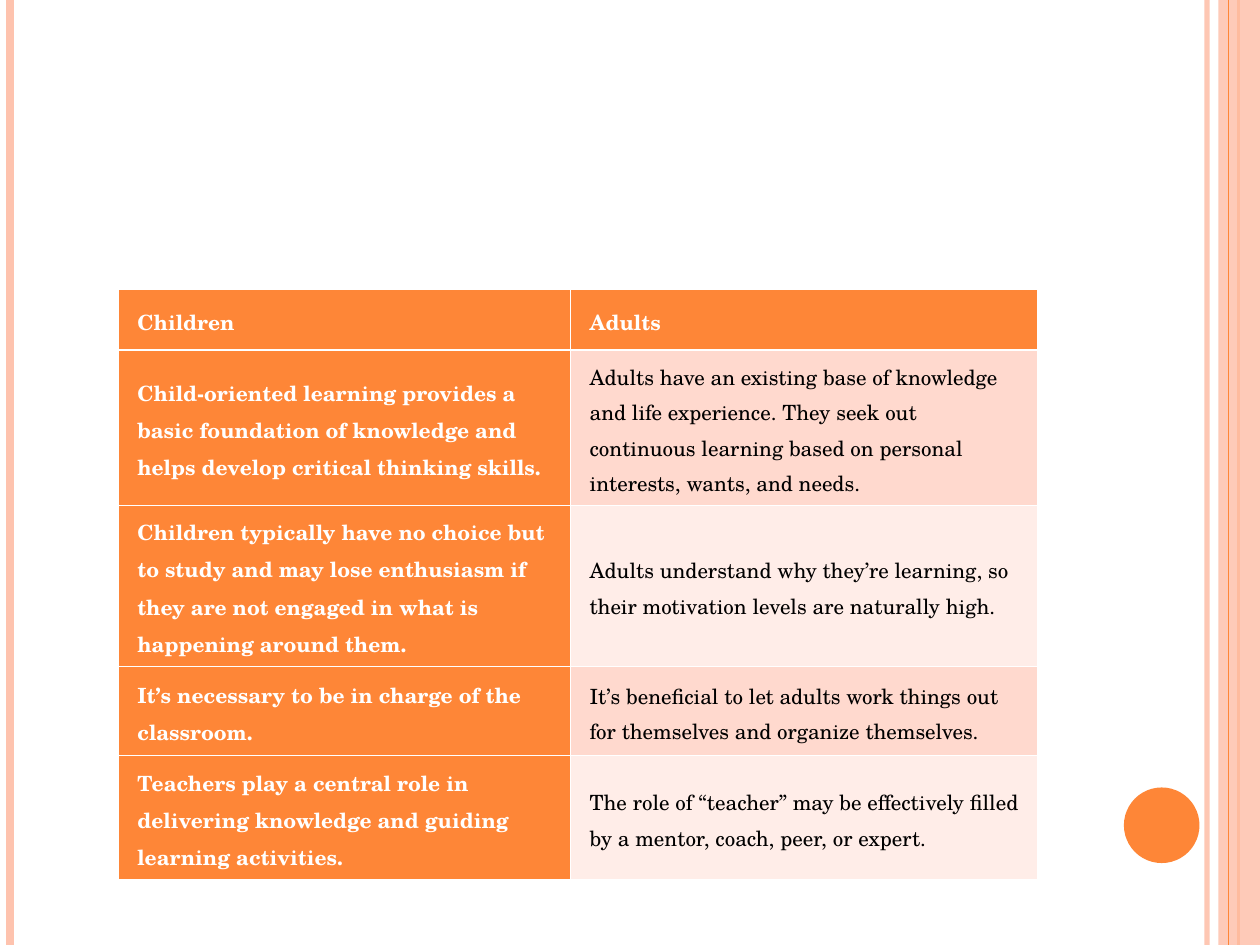
from dataclasses import dataclass

import lxml.etree
import pptx
import pptx.dml.color
import pptx.enum.shapes
import pptx.enum.text
import pptx.oxml
import pptx.oxml.ns
import pptx.util

Inches = pptx.util.Inches
Pt = pptx.util.Pt
RGBColor = pptx.dml.color.RGBColor
MSO_SHAPE = pptx.enum.shapes.MSO_SHAPE
qn = pptx.oxml.ns.qn

ORANGE = RGBColor(0xFE, 0x86, 0x37)
PEACH = RGBColor(0xFE, 0xC3, 0xAE)
BAND_DARK = RGBColor(0xFF, 0xD9, 0xCE)
BAND_LIGHT = RGBColor(0xFF, 0xED, 0xE8)
WHITE = RGBColor(0xFF, 0xFF, 0xFF)
BLACK = RGBColor(0, 0, 0)
FONT = "TeX Gyre Schola"
THIN, THICK = 0.45, 1.47


@dataclass
class Stripe:
    x: float
    color: RGBColor
    weight: float
    opacity: int = 100


@dataclass
class Comparison:
    children: str
    adults: str
    height: float


STRIPES_BELOW = [
    Stripe(9.58, PEACH, 3, 93),
    Stripe(0.08, PEACH, 4.5),
    Stripe(9.83, ORANGE, 1.5),
]
STRIPE_ABOVE = Stripe(9.75, ORANGE, 0.75)

COMPARISONS = [
    Comparison("Children", "Adults", 0.48),
    Comparison(
        "Child-oriented learning provides a basic foundation of knowledge "
        "and helps develop critical thinking skills.",
        "Adults have an existing base of knowledge and life experience. They seek "
        "out continuous learning based on personal interests, wants, and needs.",
        1.17),
    Comparison(
        "Children typically have no choice but to study and may lose enthusiasm "
        "if they are not engaged in what is happening around them.",
        "Adults understand why they’re learning, so their motivation levels "
        "are naturally high.",
        1.17),
    Comparison(
        "It’s necessary to be in charge of the classroom.",
        "It’s beneficial to let adults work things out for themselves "
        "and organize themselves.",
        0.71),
    Comparison(
        "Teachers play a central role in delivering knowledge and guiding "
        "learning activities.",
        "The role of “teacher” may be effectively filled by a mentor, coach, "
        "peer, or expert.",
        0.94),
]
COLUMN_WIDTHS = [3.59, 3.7]


def set_opacity(element, percent: int) -> None:
    """Make the first colour inside the element see-through."""
    if percent < 100:
        color = next(element.iter(qn("a:srgbClr")))
        lxml.etree.SubElement(color, qn("a:alpha")).set("val", str(percent * 1000))


def add_stripe(slide, stripe: Stripe) -> None:
    line = slide.shapes.add_connector(
        pptx.enum.shapes.MSO_CONNECTOR.STRAIGHT,
        Inches(stripe.x), 0, Inches(stripe.x), Inches(7.5))
    line.line.color.rgb = stripe.color
    line.line.width = Pt(stripe.weight)
    properties = line._element.spPr
    set_opacity(properties, stripe.opacity)
    lxml.etree.SubElement(properties, qn("a:effectLst"))


def add_solid(slide, kind, left: float, top: float, width: float, height: float,
              color: RGBColor, opacity: int = 100) -> None:
    solid = slide.shapes.add_shape(
        kind, Inches(left), Inches(top), Inches(width), Inches(height))
    solid.shadow.inherit = False
    solid.fill.solid()
    solid.fill.fore_color.rgb = color
    solid.line.fill.background()
    set_opacity(solid._element.spPr, opacity)


def write_text(frame, text: str, *, color: RGBColor, bold: bool,
               size: float = 12, spacing: float = 1.15) -> None:
    paragraph = frame.paragraphs[0]
    paragraph.line_spacing = spacing
    run = paragraph.add_run()
    run.text = text
    run.font.name = FONT
    run.font.size = Pt(size)
    run.font.bold = bold
    run.font.color.rgb = color


def set_borders(cell, top: float, bottom: float) -> None:
    weights = {"lnL": THIN, "lnR": THIN, "lnT": top, "lnB": bottom}
    properties = cell._tc.get_or_add_tcPr()
    for position, (side, weight) in enumerate(weights.items()):
        border = lxml.etree.Element(qn(f"a:{side}"), w=str(int(Pt(weight))))
        paint = lxml.etree.SubElement(border, qn("a:solidFill"))
        lxml.etree.SubElement(paint, qn("a:srgbClr")).set("val", str(WHITE))
        properties.insert(position, border)


def fill_cell(cell, text: str, row: int, column: int) -> None:
    accented = row == 0 or column == 0
    band = BAND_DARK if row % 2 else BAND_LIGHT
    cell.fill.solid()
    cell.fill.fore_color.rgb = ORANGE if accented else band
    cell.vertical_anchor = pptx.enum.text.MSO_ANCHOR.MIDDLE
    cell.margin_left, cell.margin_right = Inches(0.15), Inches(0.1)
    cell.margin_top = cell.margin_bottom = Inches(0.05)
    write_text(cell.text_frame, text,
               color=WHITE if accented else BLACK, bold=accented)
    set_borders(cell, top=THICK if row == 1 else THIN,
                bottom=THICK if row == 0 else THIN)


def add_comparison_table(slide) -> None:
    table = slide.shapes.add_table(
        len(COMPARISONS), len(COLUMN_WIDTHS), Inches(0.94), Inches(2.3),
        Inches(sum(COLUMN_WIDTHS)),
        Inches(sum(item.height for item in COMPARISONS))).table
    table.first_col = True
    for column, width in enumerate(COLUMN_WIDTHS):
        table.columns[column].width = Inches(width)
    for row, item in enumerate(COMPARISONS):
        table.rows[row].height = Inches(item.height)
        for column, text in enumerate((item.children, item.adults)):
            fill_cell(table.cell(row, column), text, row, column)


def main() -> None:
    deck = pptx.Presentation()
    deck.slide_width, deck.slide_height = Inches(10), Inches(7.5)
    slide = deck.slides.add_slide(deck.slide_layouts[6])

    # Edge decoration
    for stripe in STRIPES_BELOW:
        add_stripe(slide, stripe)
    add_solid(slide, MSO_SHAPE.RECTANGLE, 9.67, 0, 0.33, 7.5, PEACH, opacity=87)
    add_stripe(slide, STRIPE_ABOVE)
    add_solid(slide, MSO_SHAPE.OVAL, 8.92, 6.25, 0.6, 0.6, ORANGE)

    # Children and adults side by side
    add_comparison_table(slide)
    deck.save("out.pptx")


if __name__ == "__main__":
    main()
